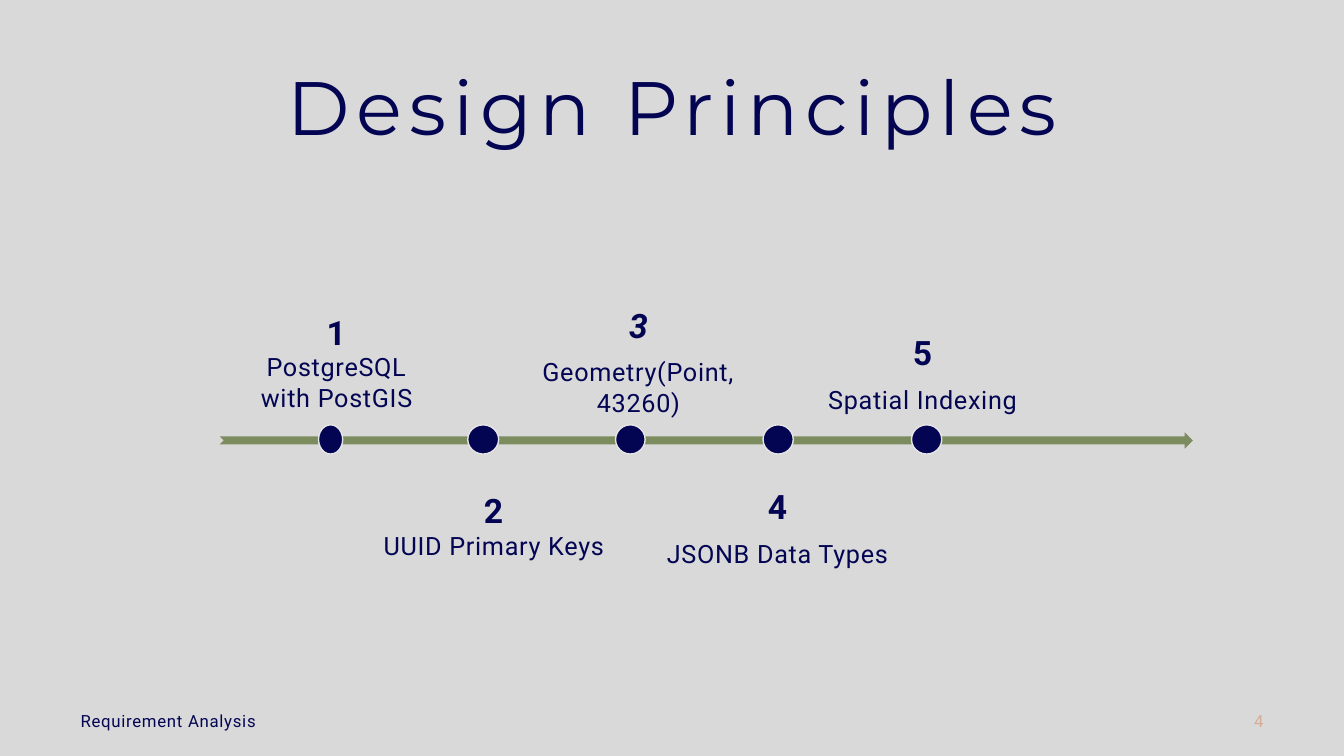
from dataclasses import dataclass

from lxml import etree
from pptx import Presentation
from pptx.dml.color import RGBColor
from pptx.enum.shapes import MSO_SHAPE
from pptx.enum.text import MSO_ANCHOR, PP_ALIGN
from pptx.util import Inches, Pt

ARROW, DOT = MSO_SHAPE.NOTCHED_RIGHT_ARROW, MSO_SHAPE.OVAL
TOP, MIDDLE, BOTTOM = MSO_ANCHOR.TOP, MSO_ANCHOR.MIDDLE, MSO_ANCHOR.BOTTOM
LEFT, CENTER, RIGHT = PP_ALIGN.LEFT, PP_ALIGN.CENTER, PP_ALIGN.RIGHT

SLIDE_WIDTH, SLIDE_HEIGHT = Inches(13.33), Inches(7.5)
AXIS_Y = 58.13  # all places and sizes are percentages of the slide
DOT_HEIGHT = 3.87
CAPTION_HEIGHT = 22.93


@dataclass(frozen=True)
class Theme:
    background: str = "D9D9D9"
    ink: str = "030553"
    axis: str = "7C8C5F"
    dot_edge: str = "E7E6E6"
    page_number: str = "D5AC98"
    heading_font: str = "Montserrat"
    body_font: str = "Roboto"
    title_size: int = 54
    number_size: int = 24
    label_size: int = 18
    footer_size: int = 12


THEME = Theme()


@dataclass(frozen=True)
class Milestone:
    number: str
    label: str
    dot_x: float
    dot_width: float
    caption_x: float
    caption_top: float
    caption_width: float
    above: bool
    same_paragraph: bool = False
    italic: bool = False


MILESTONES = [
    Milestone("1", "PostgreSQL with PostGIS", 24.6, 1.8, 25.05, 33.47, 15.15,
              above=True, same_paragraph=True),
    Milestone("2", "UUID Primary Keys", 35.95, 2.3, 36.75, 62.93, 21.45,
              above=False, same_paragraph=True),
    Milestone("3", "Geometry(Point, 43260)", 46.9, 2.2, 47.5, 34.13, 20.4,
              above=True, italic=True),
    Milestone("4", "JSONB Data Types", 57.9, 2.25, 57.85, 62.4, 19.9,
              above=False),
    Milestone("5", "Spatial Indexing", 68.95, 2.25, 68.65, 33.73, 24,
              above=True),
]


def place(left, top, width, height):
    """Turn percentages of the slide into lengths."""
    return (int(SLIDE_WIDTH * left / 100), int(SLIDE_HEIGHT * top / 100),
            int(SLIDE_WIDTH * width / 100), int(SLIDE_HEIGHT * height / 100))


def set_all(target, values):
    for name, value in values.items():
        setattr(target, name, value)


def add_text_area(slide, box, anchor, inset_x, inset_y):
    frame = slide.shapes.add_textbox(*place(*box)).text_frame
    set_all(frame, {
        "word_wrap": True, "vertical_anchor": anchor,
        "margin_left": Inches(inset_x), "margin_right": Inches(inset_x),
        "margin_top": Inches(inset_y), "margin_bottom": Inches(inset_y),
    })
    return frame


def add_run(paragraph, text, size, color=THEME.ink, font=THEME.body_font,
            tracking=0.5, **emphasis):
    run = paragraph.add_run()
    run.text = text
    set_all(run.font, {"name": font, "size": Pt(size), **emphasis})
    run.font.color.rgb = RGBColor.from_string(color)
    run.font._element.set("spc", str(int(tracking * 100)))


def add_shape(slide, kind, box, fill, edge=None):
    shape = slide.shapes.add_shape(kind, *place(*box))
    shape.shadow.inherit = False
    shape.fill.solid()
    shape.fill.fore_color.rgb = RGBColor.from_string(fill)
    if edge:
        shape.line.color.rgb = RGBColor.from_string(edge)
        shape.line.width = Pt(1)
    else:
        shape.line.fill.background()


def add_title(slide, text):
    paragraph = add_text_area(slide, (5.25, 9.33, 89.57, 22.67), TOP, 0, 0).paragraphs[0]
    set_all(paragraph, {"alignment": CENTER, "line_spacing": 0.9})
    add_run(paragraph, text, THEME.title_size, font=THEME.heading_font, tracking=5)


def add_footer(slide, text, left, width, alignment, color, tracking):
    box = (left, 92.67, width, 5.33)
    paragraph = add_text_area(slide, box, MIDDLE, 0.1, 0.05).paragraphs[0]
    paragraph.alignment = alignment
    add_run(paragraph, text, THEME.footer_size, color, tracking=tracking)


def add_caption(slide, milestone):
    box = (milestone.caption_x - milestone.caption_width / 2, milestone.caption_top,
           milestone.caption_width, CAPTION_HEIGHT)
    frame = add_text_area(slide, box, BOTTOM if milestone.above else TOP, 0.14, 0.14)
    heading = frame.paragraphs[0]
    heading.alignment = CENTER
    add_run(heading, milestone.number, THEME.number_size,
            bold=True, italic=milestone.italic)
    if milestone.same_paragraph:
        heading.add_line_break()
        label = heading
    else:
        heading.space_after = Pt(THEME.number_size * 0.35)
        label = frame.add_paragraph()
        label.alignment = CENTER
    add_run(label, milestone.label, THEME.label_size, bold=False, italic=False)


def add_milestone(slide, milestone):
    add_caption(slide, milestone)
    dot = (milestone.dot_x - milestone.dot_width / 2, AXIS_Y - DOT_HEIGHT / 2,
           milestone.dot_width, DOT_HEIGHT)
    add_shape(slide, DOT, dot, THEME.ink, THEME.dot_edge)


def main():
    deck = Presentation()
    set_all(deck, {"slide_width": SLIDE_WIDTH, "slide_height": SLIDE_HEIGHT})
    slide = deck.slides.add_slide(deck.slide_layouts[6])
    slide.background.fill.solid()
    slide.background.fill.fore_color.rgb = RGBColor.from_string(THEME.background)

    add_title(slide, "Design Principles")
    add_footer(slide, "Requirement Analysis", 5.25, 33.75, LEFT, THEME.ink, 0.5)
    add_footer(slide, "4", 84.75, 10, RIGHT, THEME.page_number, 0)
    add_shape(slide, ARROW, (16.35, AXIS_Y - 0.93, 72.4, 2.13), THEME.axis)
    for milestone in MILESTONES:
        add_milestone(slide, milestone)
    deck.save("out.pptx")


if __name__ == "__main__":
    main()
